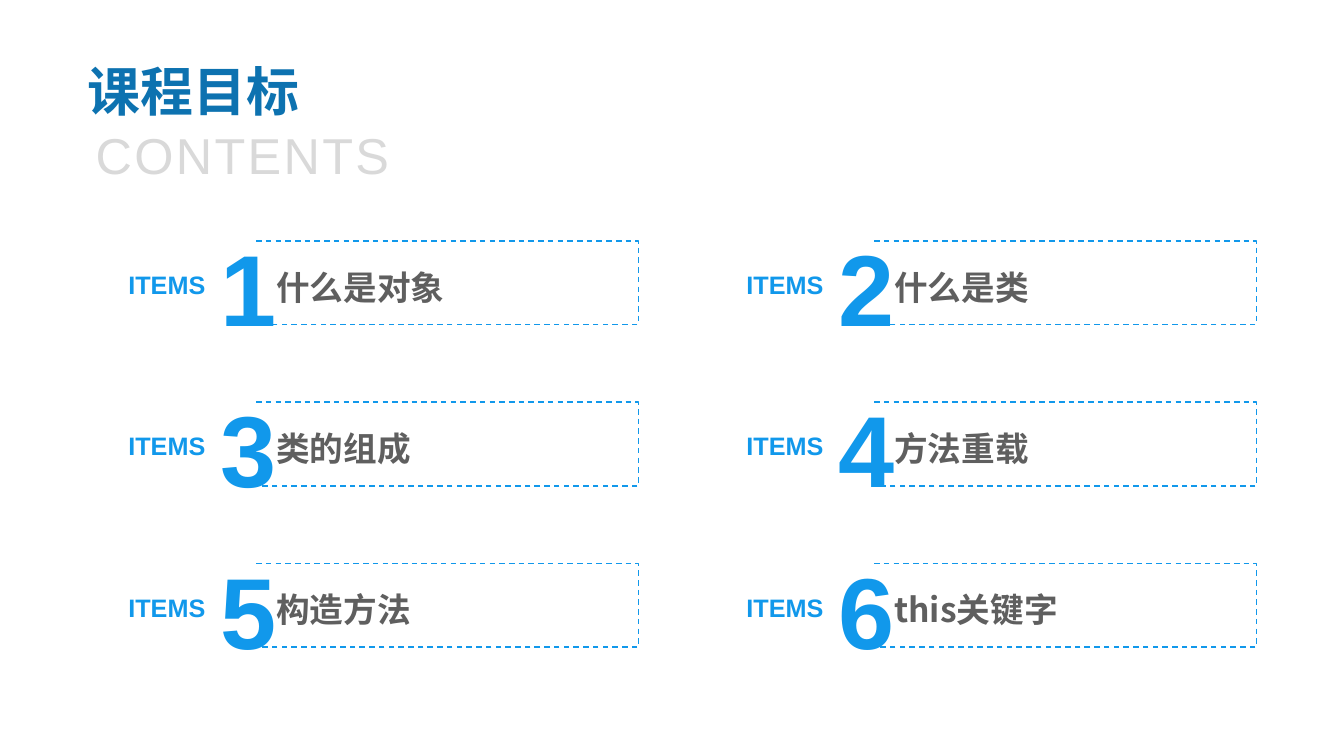
from pptx import Presentation
from pptx.dml.color import RGBColor
from pptx.enum.dml import MSO_LINE
from pptx.enum.text import MSO_ANCHOR, PP_ALIGN
from pptx.oxml.ns import qn
from pptx.util import Inches, Pt
from lxml.etree import SubElement

COLORS = {"title": "0D72B0", "subtitle": "D9D9D9", "accent": "1198EB", "topic": "5F5F5F"}
CHINESE_FONT = "Noto Sans CJK SC"
TOPICS = ["什么是对象", "什么是类", "类的组成", "方法重载", "构造方法", "this关键字"]
COLUMNS = 2
ITEM_LEFT, ITEM_TOP = 0.88, 2.19
COLUMN_PITCH, ROW_PITCH = 6.13, 1.6

FRAME_FORMAT = {
    "word_wrap": True,
    "margin_left": Inches(0.2),
    "margin_top": 0,
    "margin_right": Inches(0.08),
    "margin_bottom": 0,
}


def write_text(shape, text, color, size, font="Arial", bold=True, anchor=MSO_ANCHOR.MIDDLE,
               alignment=PP_ALIGN.LEFT, line_spacing=1.0):
    frame = shape.text_frame
    frame.word_wrap = True
    frame.vertical_anchor = anchor
    paragraph = frame.paragraphs[0]
    for name, value in {"alignment": alignment, "line_spacing": line_spacing}.items():
        setattr(paragraph, name, value)
    run = paragraph.add_run()
    run.text = text
    for name, value in {"name": font, "size": Pt(size), "bold": bold}.items():
        setattr(run.font, name, value)
    run.font.color.rgb = RGBColor.from_string(COLORS[color])
    properties = run.font._element
    SubElement(properties, qn("a:ea")).set("typeface", CHINESE_FONT)
    return properties


def add_text(shapes, left, top, width, height, text, color, size, **formats):
    box = shapes.add_textbox(Inches(left), Inches(top), Inches(width), Inches(height))
    return write_text(box, text, color, size, **formats)


def add_heading(slide, left, top):
    subtitle = add_text(slide.shapes, left + 0.08, top + 0.81, 3.14, 0.69, "CONTENTS",
                        "subtitle", 36, bold=False, anchor=MSO_ANCHOR.TOP)
    subtitle.set("spc", "170")
    add_text(slide.shapes, left, top, 2.36, 1.05, "课程目标", "title", 37.8)


def add_topic_frame(shapes, left, top, width, height, topic):
    right, bottom = left + width, top + height
    builder = shapes.build_freeform(Inches(left), Inches(top))
    corners = [(right, top), (right, bottom), (left, bottom)]
    builder.add_line_segments([(Inches(x), Inches(y)) for x, y in corners], close=False)
    shape = builder.convert_to_shape()
    shape.shadow.inherit = False
    shape.fill.background()
    shape.line.color.rgb = RGBColor.from_string(COLORS["accent"])
    for name, value in {"width": Pt(1), "dash_style": MSO_LINE.DASH}.items():
        setattr(shape.line, name, value)
    for name, value in FRAME_FORMAT.items():
        setattr(shape.text_frame, name, value)
    write_text(shape, topic, "topic", 24, font=CHINESE_FONT, line_spacing=1.2)


def add_item(slide, left, top, number, topic):
    shapes = slide.shapes.add_group_shape().shapes
    add_topic_frame(shapes, left + 1.66, top + 0.2, 3.79, 0.83, topic)
    add_text(shapes, left, top + 0.31, 1.55, 0.68, "ITEMS", "accent", 18,
             alignment=PP_ALIGN.CENTER, line_spacing=0.9)
    add_text(shapes, left + 1.2, top, 0.77, 1.41, str(number), "accent", 72,
             anchor=MSO_ANCHOR.TOP, alignment=PP_ALIGN.CENTER)


def main():
    presentation = Presentation()
    presentation.slide_width = Inches(13.33)
    presentation.slide_height = Inches(7.5)
    slide = presentation.slides.add_slide(presentation.slide_layouts[6])
    add_heading(slide, 0.77, 0.37)
    for index, topic in enumerate(TOPICS):
        row, column = divmod(index, COLUMNS)
        add_item(slide, ITEM_LEFT + column * COLUMN_PITCH, ITEM_TOP + row * ROW_PITCH,
                 index + 1, topic)
    presentation.save("out.pptx")


if __name__ == "__main__":
    main()
